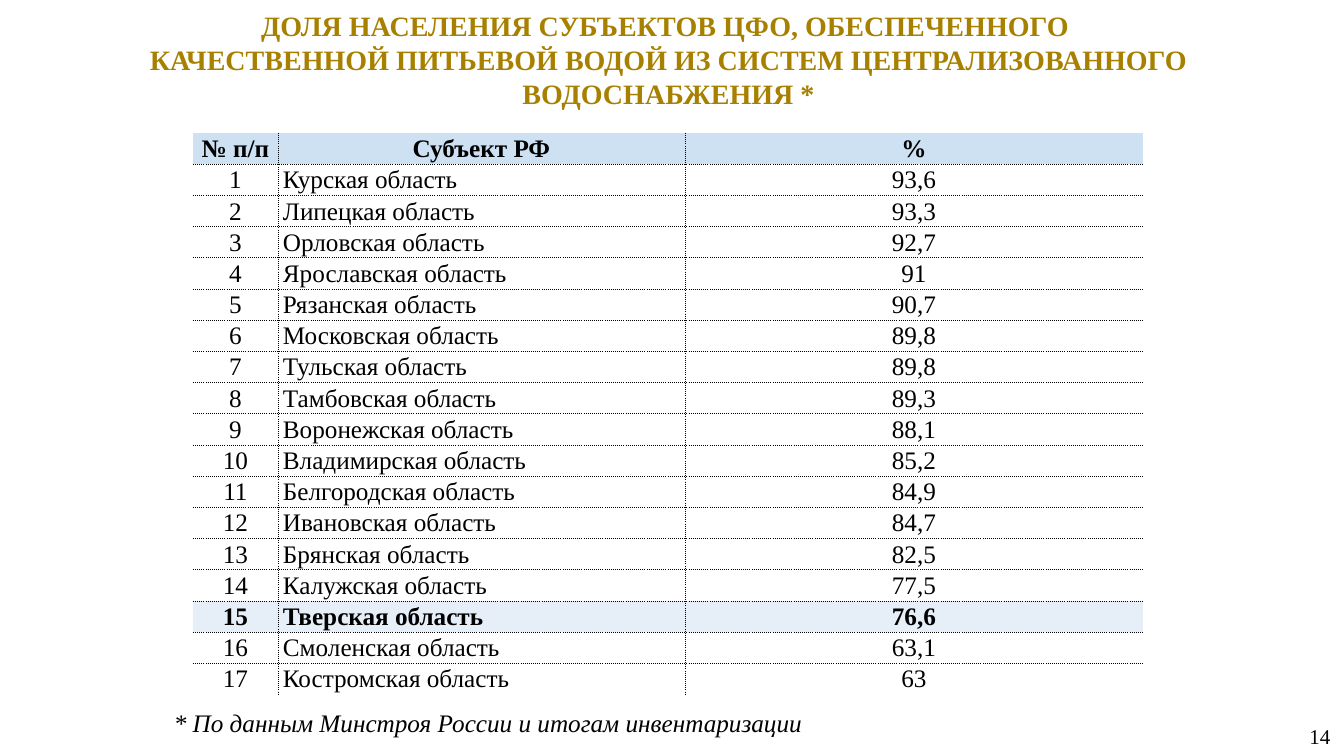
import lxml.etree
import pptx
import pptx.dml.color
import pptx.enum.text
import pptx.oxml.ns
import pptx.util
from dataclasses import dataclass

PX = 914400 / 100.8
ALIGN = pptx.enum.text.PP_ALIGN
ANCHOR = pptx.enum.text.MSO_ANCHOR
qn = pptx.oxml.ns.qn


@dataclass(frozen=True)
class Theme:
    font: str = "Times New Roman"
    gold: str = "A88000"
    black: str = "000000"
    blue: str = "CEE1F2"
    title_size: int = 20
    title_line: int = 24
    text_size: int = 18
    number_size: int = 15
    border_width: float = 0.5


theme = Theme()


def px(length):
    return pptx.util.Emu(round(length * PX))


def write(frame, text, size, color=theme.black, bold=False, italic=False, align=ALIGN.CENTER):
    frame.text = text
    paragraph = frame.paragraphs[0]
    paragraph.alignment = align
    font = paragraph.font
    font.name, font.size = theme.font, pptx.util.Pt(size)
    font.bold, font.italic = bold, italic
    font.color.rgb = pptx.dml.color.RGBColor.from_string(color)
    return paragraph


presentation = pptx.Presentation()
presentation.slide_width, presentation.slide_height = px(1344), px(756)
slide = presentation.slides.add_slide(presentation.slide_layouts[5])

# Title
title = slide.shapes.title
title.left, title.top, title.width, title.height = px(98), px(2), px(1141), px(115)
frame = title.text_frame
frame.auto_size = pptx.enum.text.MSO_AUTO_SIZE.NONE
frame.word_wrap = True
frame.vertical_anchor = ANCHOR.TOP
frame.margin_left = frame.margin_right = px(13)
frame.margin_top = frame.margin_bottom = px(7)
paragraph = write(
    frame,
    "ДОЛЯ НАСЕЛЕНИЯ СУБЪЕКТОВ ЦФО, ОБЕСПЕЧЕННОГО \v"
    "КАЧЕСТВЕННОЙ ПИТЬЕВОЙ ВОДОЙ ИЗ СИСТЕМ ЦЕНТРАЛИЗОВАННОГО ВОДОСНАБЖЕНИЯ *",
    theme.title_size, theme.gold, bold=True)
paragraph.line_spacing = pptx.util.Pt(theme.title_line)

# Table of regions
regions = [
    ("Курская область", "93,6"),
    ("Липецкая область", "93,3"),
    ("Орловская область", "92,7"),
    ("Ярославская область", "91"),
    ("Рязанская область", "90,7"),
    ("Московская область", "89,8"),
    ("Тульская область", "89,8"),
    ("Тамбовская область", "89,3"),
    ("Воронежская область", "88,1"),
    ("Владимирская область", "85,2"),
    ("Белгородская область", "84,9"),
    ("Ивановская область", "84,7"),
    ("Брянская область", "82,5"),
    ("Калужская область", "77,5"),
    ("Тверская область", "76,6"),
    ("Смоленская область", "63,1"),
    ("Костромская область", "63"),
]
rows = [("№ п/п", "Субъект РФ", "%")]
rows += [(str(number), *region) for number, region in enumerate(regions, 1)]
column_widths = [85, 407, 458]
highlighted = "Тверская область"
last_row, last_column = len(rows) - 1, len(column_widths) - 1

table = slide.shapes.add_table(
    len(rows), len(column_widths), px(193), px(133), px(sum(column_widths)), px(562)).table
table.first_row = table.horz_banding = False
for column, width in zip(table.columns, column_widths):
    column.width = px(width)

for row_index, row in enumerate(rows):
    is_header, is_highlighted = row_index == 0, row[1] == highlighted
    for column_index, text in enumerate(row):
        cell = table.cell(row_index, column_index)
        cell.vertical_anchor = ANCHOR.MIDDLE
        cell.margin_left = cell.margin_right = cell.margin_top = px(1)
        cell.margin_bottom = 0
        is_name = column_index == 1 and not is_header
        paragraph = write(cell.text_frame, text, theme.text_size,
                          bold=is_header or is_highlighted,
                          align=ALIGN.LEFT if is_name else ALIGN.CENTER)
        if is_name:
            paragraph._p.get_or_add_pPr().set("marL", str(px(4)))

        # Dotted inner borders, open outer edges
        properties = cell._tc.get_or_add_tcPr()
        inner_sides = {
            "a:lnL": column_index > 0,
            "a:lnR": column_index < last_column,
            "a:lnT": row_index > 0,
            "a:lnB": row_index < last_row,
        }
        for side, is_inner in inner_sides.items():
            line = lxml.etree.SubElement(
                properties, qn(side), w=str(pptx.util.Pt(theme.border_width)))
            if is_inner:
                fill = lxml.etree.SubElement(line, qn("a:solidFill"))
                lxml.etree.SubElement(fill, qn("a:srgbClr"), val=theme.black)
                lxml.etree.SubElement(line, qn("a:prstDash"), val="sysDot")
            else:
                lxml.etree.SubElement(line, qn("a:noFill"))

        # Header and highlighted row fills
        if is_header or is_highlighted:
            cell.fill.solid()
            cell.fill.fore_color.rgb = pptx.dml.color.RGBColor.from_string(theme.blue)
        else:
            cell.fill.background()
        if is_highlighted:
            color = properties.find(qn("a:solidFill")).find(qn("a:srgbClr"))
            lxml.etree.SubElement(color, qn("a:alpha"), val="50000")

# Slide number
number_box = slide.shapes.add_textbox(px(1296), px(716), px(48), px(40))
number_box.text_frame.word_wrap = True
number_box.text_frame.vertical_anchor = ANCHOR.MIDDLE
write(number_box.text_frame, "14", theme.number_size)

# Footnote
footnote = slide.shapes.add_textbox(px(58), px(700), px(860), px(44))
frame = footnote.text_frame
frame.word_wrap = True
frame.margin_left = frame.margin_right = px(13)
frame.margin_top = frame.margin_bottom = px(7)
write(frame, "* По данным Минстроя России и итогам инвентаризации", theme.text_size, italic=True)

presentation.save("out.pptx")
